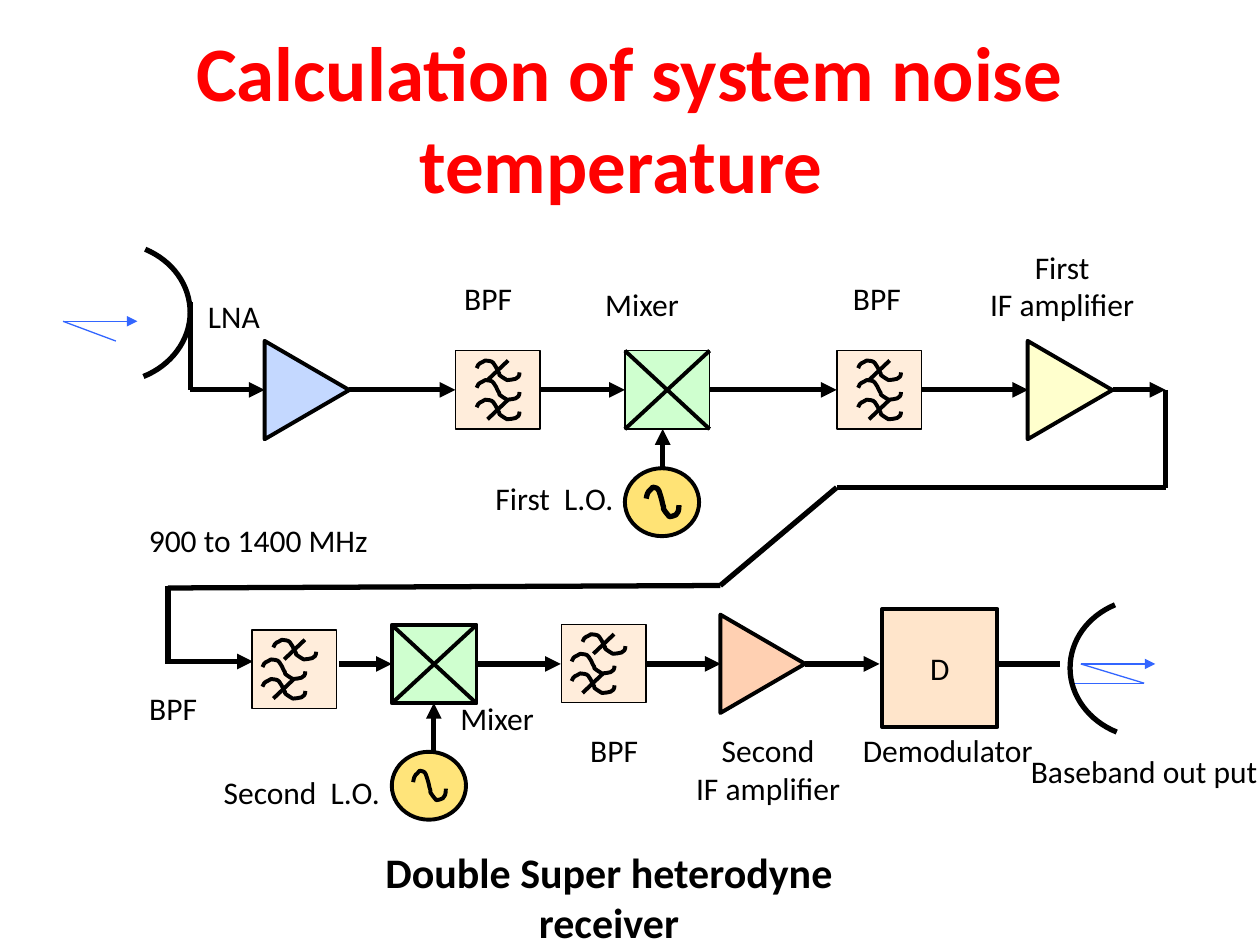
from lxml.etree import SubElement
from pptx import Presentation
from pptx.dml.color import RGBColor
from pptx.enum.shapes import MSO_CONNECTOR, MSO_SHAPE
from pptx.enum.text import MSO_ANCHOR, MSO_AUTO_SIZE, PP_ALIGN
from pptx.oxml.ns import qn
from pptx.util import Pt

COLORS = {
    "title": "FF0000", "ink": "000000", "signal": "3366FF",
    "filter": "FFCC99", "mixer": "00FF00", "oscillator": "FFCC00",
    "lna": "6699FF", "first_if": "FFFF99", "second_if": "FF6600",
}
FONT = "Calibri"
ROW1, ROW2 = 222.8, 379.4
BLOCK_W, BLOCK_H = 48.4, 44.8
OSC_W, OSC_H = 42.4, 38.8


def add_run(paragraph, text, size, color="ink", bold=False):
    run = paragraph.add_run()
    run.text = text
    run.font.name, run.font.size, run.font.bold = FONT, Pt(size), bold
    run.font.color.rgb = RGBColor.from_string(COLORS[color])


def add_curve(points, width):
    """Draw a start point and its chain of cubic segments, three points each."""
    start, *controls = [(Pt(x), Pt(y)) for x, y in points]
    builder = shapes.build_freeform(*start)
    builder.add_line_segments(controls, close=False)
    curve = builder.convert_to_shape()
    outline = next(curve.element.iter(qn("a:path")))
    corners = outline.findall(qn("a:lnTo"))
    for i in range(0, len(corners), 3):
        segment = SubElement(outline, qn("a:cubicBezTo"))
        for corner in corners[i:i + 3]:
            segment.append(corner[0])
            outline.remove(corner)
    curve.shadow.inherit = False
    curve.fill.background()
    curve.line.color.rgb = RGBColor.from_string(COLORS["ink"])
    curve.line.width = Pt(width)


prs = Presentation()
prs.slide_width, prs.slide_height = Pt(720), Pt(540)
slide = prs.slides.add_slide(prs.slide_layouts[5])
shapes = slide.shapes

title = shapes.title
title.left, title.top, title.width, title.height = Pt(36), Pt(21.6), Pt(648), Pt(90)
title.text_frame.vertical_anchor = MSO_ANCHOR.MIDDLE
title.text_frame.paragraphs[0].alignment = PP_ALIGN.CENTER
add_run(title.text_frame.paragraphs[0], "Calculation of system noise temperature ", 44, "title", True)

# Filters: left, top, and the x offset of each of the three waves
filters = [
    (260.2, 200.4, (12.2, 12.2, 12.2)),
    (478.2, 200.4, (12.2, 12.2, 12.2)),
    (144, 360, (12.2, 6, 6)),
    (320.7, 356.8, (12.2, 6, 6)),
]
mixers = [(357.1, 200.4, 0.75), (223.9, 357.1, 2.25)]
oscillators = [(357.1, 267.6, 54, 3), (223.9, 429.6, 52, 2.25)]
amplifiers = [(147.3, 198.7, "lna", 38), (583.3, 198.7, "first_if", 49),
              (407.7, 355.1, "second_if", 30)]

# Kind, left, top, width, height, fill, opacity in percent, line width
blocks = [(MSO_SHAPE.RECTANGLE, x, y, BLOCK_W, BLOCK_H, "filter", 35, 0.75) for x, y, _ in filters]
blocks += [(MSO_SHAPE.RECTANGLE, x, y, BLOCK_W, BLOCK_H, "mixer", 19, width) for x, y, width in mixers]
blocks += [(MSO_SHAPE.OVAL, x, y, OSC_W, OSC_H, "oscillator", opacity, 2.25)
           for x, y, opacity, _ in oscillators]
blocks += [(MSO_SHAPE.ISOSCELES_TRIANGLE, x, y, 56.2, 48.4, fill, opacity, 2.25)
           for x, y, fill, opacity in amplifiers]
blocks.append((MSO_SHAPE.RECTANGLE, 504, 348, 66, 67.5, "filter", 50, 2.25))

for kind, x, y, w, h, fill, opacity, width in blocks:
    block = shapes.add_shape(kind, Pt(x), Pt(y), Pt(w), Pt(h))
    block.shadow.inherit = False
    block.fill.solid()
    block.fill.fore_color.rgb = RGBColor.from_string(COLORS[fill])
    tint = block.element.spPr.find(qn("a:solidFill"))[0]
    SubElement(tint, qn("a:alpha"), val=str(opacity * 1000))
    block.line.color.rgb = RGBColor.from_string(COLORS["ink"])
    block.line.width = Pt(width)
    if kind == MSO_SHAPE.ISOSCELES_TRIANGLE:
        block.rotation = 90

demodulator = block
demodulator.text_frame.word_wrap = False
demodulator.text_frame.vertical_anchor = MSO_ANCHOR.MIDDLE
demodulator.text_frame.paragraphs[0].alignment = PP_ALIGN.CENTER
add_run(demodulator.text_frame.paragraphs[0], "D", 18)

# Lines: x1, y1, x2, y2, colour, width, arrowhead
row1_arrows = [(108.7, 151.2), (199.4, 260.2), (308.7, 357.1), (405.5, 478.1),
               (526.5, 587.5), (635.8, 666)]
row2_arrows = [(193.7, 223.9), (272.3, 320.5), (369.2, 411.8), (460.1, 502.6)]
lines = [(x1, ROW1, x2, ROW1, "ink", 3, True) for x1, x2 in row1_arrows]
lines += [(x1, ROW2, x2, ROW2, "ink", 3, True) for x1, x2 in row2_arrows]
lines += [
    (96, 378, 144.5, 378, "ink", 3, True),
    (378.7, 267.8, 378.7, 245.2, "ink", 3, True),
    (247.9, 429.8, 247.9, 401.7, "ink", 3, True),
    (569.5, ROW2, 605.5, ROW2, "ink", 3, False),
    (108.7, ROW1, 108.7, 172.8, "ink", 3, False),
    (96, 334.6, 96, ROW2, "ink", 3, False),
    (36, 183.6, 78.5, 183.6, "signal", 0.75, True),
    (66.2, 194.9, 36, 183.6, "signal", 0.75, False),
    (617.6, ROW2, 660.2, ROW2, "signal", 0.75, True),
    (653.8, 390.4, 617.6, ROW2, "signal", 0.75, False),
    (611.3, 390.4, 653.8, 390.4, "signal", 0.75, False),
    (169.2, 189.4, 169.2, 189.4, "ink", 0.75, False),
    (417.6, 373.7, 417.6, 373.7, "ink", 3, False),
]
feedback = [(666, ROW1), (666, 278.6), (478.1, 278.6), (411.6, 334.6), (96, 336)]
lines += [(*start, *end, "ink", 3, False) for start, end in zip(feedback, feedback[1:])]
for x, y, _ in mixers:
    lines.append((x, y, x + BLOCK_W, y + BLOCK_H, "ink", 2.25, False))
    lines.append((x, y + BLOCK_H, x + BLOCK_W, y, "ink", 2.25, False))

# Waves: left, top, width, height, line width
waves = [(x + 12.2, y + 10.8, 18.7, 16.9, width) for x, y, _, width in oscillators]
for x, y, offsets in filters:
    for i, offset in enumerate(offsets):
        left, top = x + offset, y + 5.6 + 11.2 * i
        waves.append((left, top, 24.5, 11.2, 2.25))
        if i != 1:
            lines.append((left + 18, top, left + 6.2, top + 11.2, "ink", 2.25, False))

for x1, y1, x2, y2, color, width, arrow in lines:
    line = shapes.add_connector(MSO_CONNECTOR.STRAIGHT, Pt(x1), Pt(y1), Pt(x2), Pt(y2))
    line.line.color.rgb = RGBColor.from_string(COLORS[color])
    line.line.width = Pt(width)
    if arrow:
        SubElement(line.element.spPr.find(qn("a:ln")), qn("a:tailEnd"), type="triangle")
    SubElement(line.element.spPr, qn("a:effectLst"))

# A wave is given as fractions of its box
WAVE = [(0, .39), (.05, .08), (.09, .17), (.2, 0), (.26, .03), (.35, 0), (.39, .13),
        (.43, .26), (.47, .39), (.5, .57), (.53, .61), (.53, .7), (.53, .74),
        (.6, .87), (.71, 1), (.71, 1), (.85, .96), (1, 1), (1, .61)]
DISH = [(82, 215.1), (97.9, 208.8), (108.7, 194.4), (108.7, 178.6),
        (108.7, 162.7), (98.6, 149), (83, 142.4)]
add_curve(DISH, 3)
add_curve([(720.2 - x, y + 203.2) for x, y in DISH], 3)
for x, y, w, h, width in waves:
    add_curve([(x + fx * w, y + fy * h) for fx, fy in WAVE], width)

# Labels: lines of text, left, top, width, height, alignment, size, wrap
LEFT, CENTER = PP_ALIGN.LEFT, PP_ALIGN.CENTER
labels = [
    (["LNA"], 111.8, 166.3, 61.9, 33.8, LEFT, 18, False),
    (["Mixer"], 338.8, 159.6, 74.2, 33.8, LEFT, 18, False),
    (["First", "IF amplifier"], 558, 138, 97.9, 51.1, CENTER, 18, False),
    (["First  L.O."], 276, 270, 82.8, 28.8, LEFT, 18, False),
    (["Second  L.O."], 120, 438, 105.1, 28.8, CENTER, 18, False),
    (["Mixer"], 256, 396, 74.2, 33.8, LEFT, 18, False),
    (["Second", "IF amplifier"], 390, 414, 97.9, 51.1, CENTER, 18, False),
    (["Demodulator"], 486, 414, 116.6, 28.8, LEFT, 18, False),
    (["Baseband out put"], 582, 426, 154.1, 28.8, LEFT, 18, False),
    (["900 to 1400 MHz"], 78, 294, 180, 28.8, LEFT, 18, True),
    (["Double Super heterodyne receiver"], 204, 480, 288, 65.5, CENTER, 24, True),
]
labels += [(["BPF"], x, y, 41.8, 28.8, CENTER, 18, False)
           for x, y in [(258, 156), (480.2, 156), (330, 414), (78, 390)]]
for texts, x, y, w, h, alignment, size, wrap in labels:
    frame = shapes.add_textbox(Pt(x), Pt(y), Pt(w), Pt(h)).text_frame
    frame.word_wrap = wrap
    frame.auto_size = MSO_AUTO_SIZE.SHAPE_TO_FIT_TEXT
    for i, text in enumerate(texts):
        paragraph = frame.add_paragraph() if i else frame.paragraphs[0]
        paragraph.alignment = alignment
        add_run(paragraph, text, size, bold=size == 24)

prs.save("out.pptx")
